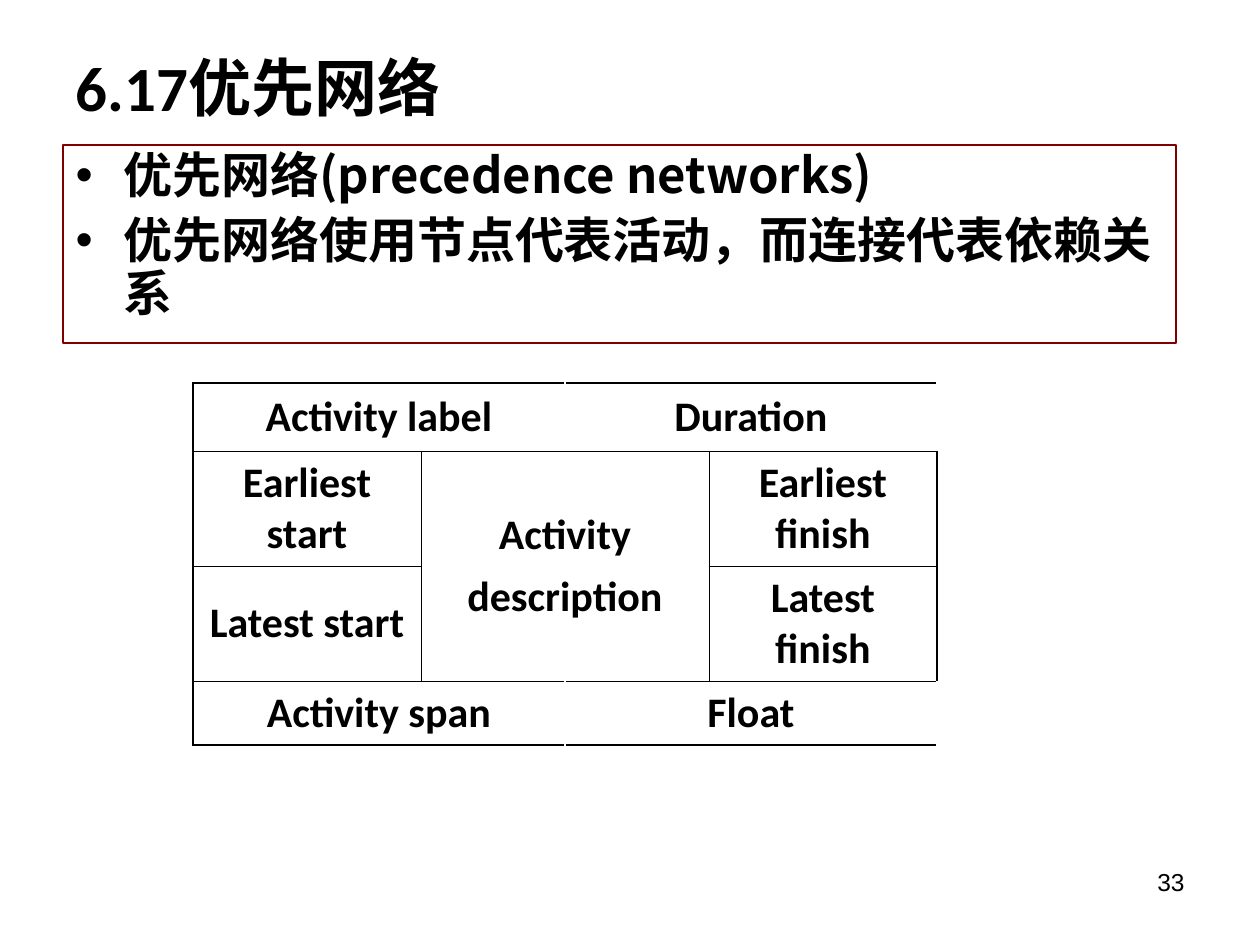
from lxml.etree import SubElement
from pptx import Presentation
from pptx.dml.color import RGBColor
from pptx.enum.text import MSO_ANCHOR, MSO_AUTO_SIZE, PP_ALIGN
from pptx.oxml.ns import qn
from pptx.util import Emu, Pt

PX = 914400 // 126
COLORS = {"text": "000000", "frame": "800000", "grid": "000000"}

TITLE = "6.17优先网络"
POINTS = [
    "优先网络(precedence networks)",
    "优先网络使用节点代表活动，而连接代表依赖关系",
]
PAGE_NUMBER = "33"

COLUMN_WIDTHS = [228, 144, 144, 228]
ROW_HEIGHTS = [68, 114, 114, 63]
# row, column, rows spanned, columns spanned, lines
ACTIVITY_NODE = [
    (0, 0, 1, 2, ["Activity label"]),
    (0, 2, 1, 2, ["Duration"]),
    (1, 0, 1, 1, ["Earliest start"]),
    (1, 1, 2, 2, ["Activity", "description"]),
    (1, 3, 1, 1, ["Earliest finish"]),
    (2, 0, 1, 1, ["Latest start"]),
    (2, 3, 1, 1, ["Latest finish"]),
    (3, 0, 1, 2, ["Activity span"]),
    (3, 2, 1, 2, ["Float"]),
]
OUTER_LINE, INNER_LINE = Pt(1.08), Pt(0.45)


def px(*lengths):
    return [Emu(length * PX) for length in lengths]


def place(shape, *box):
    shape.left, shape.top, shape.width, shape.height = px(*box)


def write(frame, lines, font_name, size, align, bold=True, gap=0):
    for index, line in enumerate(lines):
        paragraph = frame.paragraphs[0] if index == 0 else frame.add_paragraph()
        paragraph.alignment = align
        paragraph.space_before = Pt(gap if index else 0)
        run = paragraph.add_run()
        run.text = line
        run.font.name = font_name
        run.font.size = Pt(size)
        run.font.bold = bold
        run.font.color.rgb = RGBColor.from_string(COLORS["text"])
        SubElement(run.font._element, qn("a:ea"), typeface="Noto Sans CJK SC")


def add_bullet(paragraph):
    properties = paragraph._p.get_or_add_pPr()
    properties.set("marL", str(48 * PX))
    properties.set("indent", str(-48 * PX))
    color = SubElement(properties, qn("a:buClr"))
    SubElement(color, qn("a:srgbClr"), val=COLORS["text"])
    SubElement(properties, qn("a:buFont"), typeface="Arial")
    SubElement(properties, qn("a:buChar"), char="•")


def draw_border(cell, side, width):
    line = SubElement(cell._tc.get_or_add_tcPr(), qn(f"a:ln{side}"), w=str(width))
    fill = SubElement(line, qn("a:solidFill"))
    SubElement(fill, qn("a:srgbClr"), val=COLORS["grid"])


def outline_area(table, top, left, bottom, right):
    """Border a cell area, heavier where it meets the edge of the table."""
    last_row, last_column = len(ROW_HEIGHTS) - 1, len(COLUMN_WIDTHS) - 1
    for row in range(top, bottom + 1):
        for column in range(left, right + 1):
            cell = table.cell(row, column)
            sides = [
                ("L", column, left, 0),
                ("R", column, right, last_column),
                ("T", row, top, 0),
                ("B", row, bottom, last_row),
            ]
            for side, position, area_edge, table_edge in sides:
                if position == area_edge:
                    outer = position == table_edge
                    draw_border(cell, side, OUTER_LINE if outer else INNER_LINE)
            cell.fill.background()


def add_activity_node(slide):
    frame = slide.shapes.add_table(
        len(ROW_HEIGHTS), len(COLUMN_WIDTHS),
        *px(193, 383, sum(COLUMN_WIDTHS), sum(ROW_HEIGHTS)))
    table = frame.table
    table.first_row = table.horz_banding = False
    for column, width in zip(table.columns, px(*COLUMN_WIDTHS)):
        column.width = width
    for row, height in zip(table.rows, px(*ROW_HEIGHTS)):
        row.height = height
    for top, left, row_span, column_span, lines in ACTIVITY_NODE:
        bottom, right = top + row_span - 1, left + column_span - 1
        cell = table.cell(top, left)
        if row_span * column_span > 1:
            cell.merge(table.cell(bottom, right))
        outline_area(table, top, left, bottom, right)
        cell.vertical_anchor = MSO_ANCHOR.MIDDLE
        write(cell.text_frame, lines, "Calibri", 24, PP_ALIGN.CENTER, gap=6)


def main():
    presentation = Presentation()
    presentation.slide_width, presentation.slide_height = px(1260, 945)
    slide = presentation.slides.add_slide(presentation.slide_layouts[1])

    title = slide.shapes.title
    place(title, 63, 38, 1134, 97)
    title.text_frame.auto_size = MSO_AUTO_SIZE.NONE
    title.text_frame.vertical_anchor = MSO_ANCHOR.MIDDLE
    write(title.text_frame, [TITLE], "Calibri", 36, PP_ALIGN.LEFT)

    body = slide.placeholders[1]
    place(body, 63, 145, 1113, 198)
    body.line.color.rgb = RGBColor.from_string(COLORS["frame"])
    body.line.width = Pt(0.75)
    body.text_frame.auto_size = MSO_AUTO_SIZE.NONE
    write(body.text_frame, POINTS, "Noto Sans CJK SC", 28, PP_ALIGN.LEFT, gap=7)
    for paragraph in body.text_frame.paragraphs:
        paragraph.line_spacing = 0.9
        add_bullet(paragraph)

    add_activity_node(slide)

    page_number = slide.shapes.add_textbox(*px(903, 861, 294, 65))
    page_number.text_frame.word_wrap = True
    write(page_number.text_frame, [PAGE_NUMBER], "Arial", 14, PP_ALIGN.RIGHT, bold=False)

    presentation.save("out.pptx")


if __name__ == "__main__":
    main()
